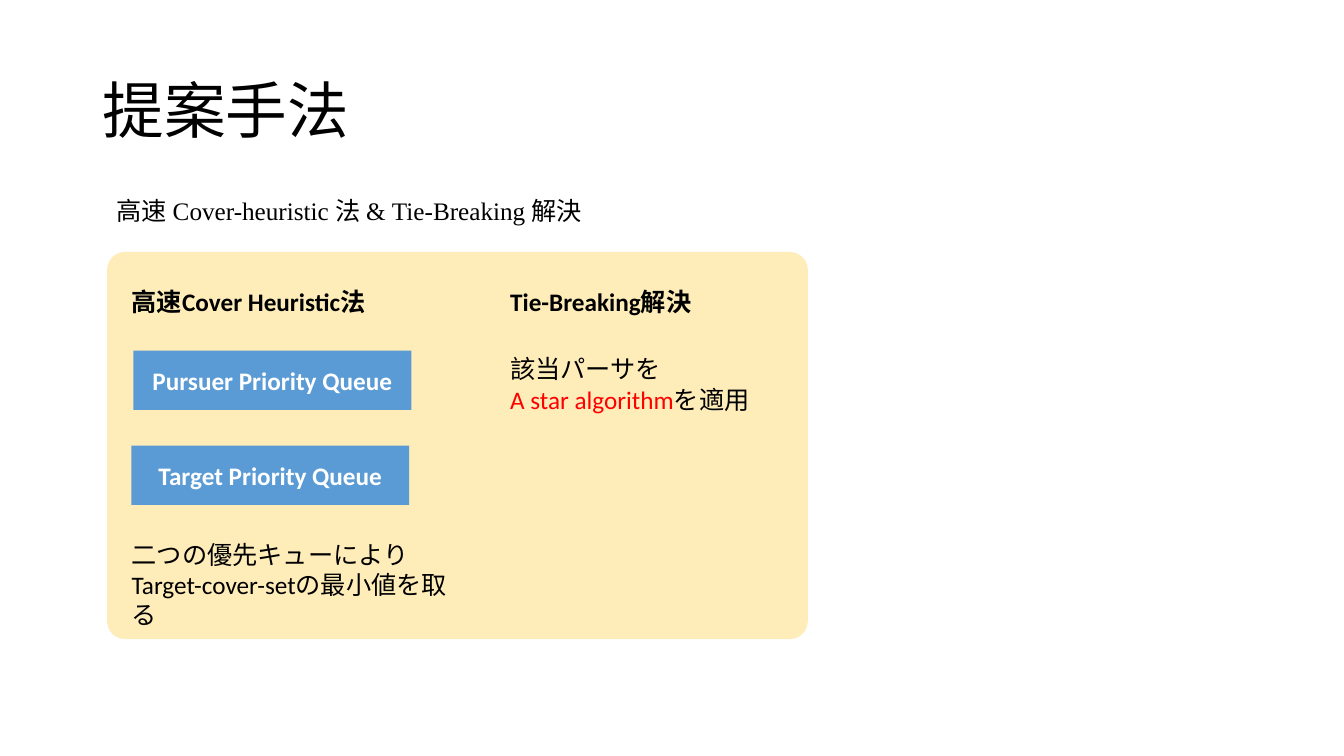
from pptx import Presentation
from pptx.dml.color import RGBColor
from pptx.enum.shapes import MSO_SHAPE as Shape
from pptx.enum.text import MSO_ANCHOR as Anchor, MSO_AUTO_SIZE as AutoSize, PP_ALIGN as Align
from pptx.util import Pt

BLACK, WHITE, RED = "000000", "FFFFFF", "FF0000"
CREAM, BLUE = "FEECB9", "5B9BD5"
BODY = {"size": Pt(18), "name": "Calibri", "bold": False}
HEADING = BODY | {"bold": True}


def write(frame, lines, font, align=Align.LEFT):
    """Fill a frame with lines, each a list of (text, colour) runs."""
    frame.word_wrap = True
    for number, line in enumerate(lines):
        paragraph = frame.add_paragraph() if number else frame.paragraphs[0]
        paragraph.alignment = align
        for text, colour in line:
            run = paragraph.add_run()
            run.text = text
            run.font.color.rgb = RGBColor.from_string(colour)
            for attribute, value in font.items():
                setattr(run.font, attribute, value)


def add_panel(kind, box, colour):
    panel = slide.shapes.add_shape(kind, *map(Pt, box))
    panel.shadow.inherit = False
    panel.fill.solid()
    panel.fill.fore_color.rgb = RGBColor.from_string(colour)
    panel.line.fill.background()
    return panel


deck = Presentation()
deck.slide_width, deck.slide_height = Pt(960), Pt(540)
slide = deck.slides.add_slide(deck.slide_layouts[5])

title = slide.shapes.title
title_place = {"left": Pt(66), "top": Pt(28.75), "width": Pt(828), "height": Pt(104.4)}
for attribute, value in title_place.items():
    setattr(title, attribute, value)
title.text_frame.vertical_anchor = Anchor.MIDDLE
write(title.text_frame, [[("提案手法", BLACK)]], BODY | {"size": Pt(44)})
title.text_frame.paragraphs[0].line_spacing = 0.9

method_card = add_panel(Shape.ROUNDED_RECTANGLE, (76.5, 180, 500.5, 276.5), CREAM)
method_card.adjustments[0] = 0.046

queues = [("Pursuer Priority Queue", 95.3, 250.5), ("Target Priority Queue", 93.8, 318.4)]
for queue_name, left, top in queues:
    queue = add_panel(Shape.RECTANGLE, (left, top, 198.5, 42.3), BLUE)
    queue.text_frame.vertical_anchor = Anchor.MIDDLE
    write(queue.text_frame, [[(queue_name, WHITE)]], HEADING, Align.CENTER)

COVER_LEFT, TIE_LEFT, HEADING_TOP = 87, 357.3, 200.9
passages = [
    ((76.3, 136, 371, 29), BODY | {"name": "Times New Roman"},
     [[("高速 Cover-heuristic 法 & Tie-Breaking 解決", BLACK)]]),
    ((COVER_LEFT, HEADING_TOP, 197.5, 29), HEADING,
     [[("高速Cover Heuristic法", BLACK)]]),
    ((TIE_LEFT, HEADING_TOP, 197.5, 29), HEADING,
     [[("Tie-Breaking解決", BLACK)]]),
    ((COVER_LEFT, 381.6, 256.3, 51), BODY,
     [[("二つの優先キューによりTarget-cover-setの最小値を取る", BLACK)]]),
    ((TIE_LEFT, 249.1, 212.4, 51), BODY,
     [[("該当パーサを", BLACK)], [("A star algorithm", RED), ("を適用", BLACK)]]),
]
for box, font, lines in passages:
    passage = slide.shapes.add_textbox(*map(Pt, box)).text_frame
    passage.auto_size = AutoSize.SHAPE_TO_FIT_TEXT
    write(passage, lines, font)

deck.save("out.pptx")
